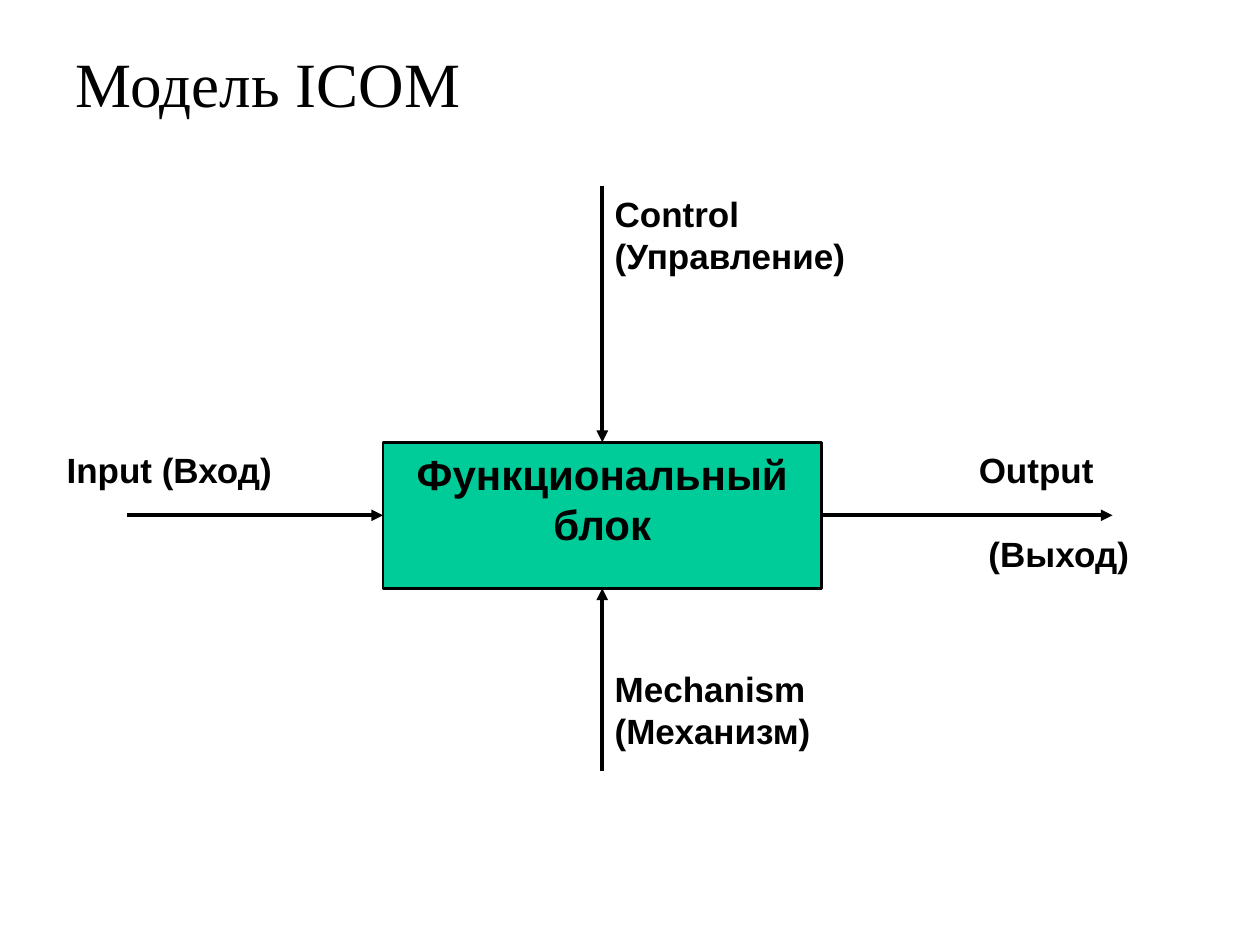
from lxml.etree import SubElement
from pptx import Presentation
from pptx.dml.color import RGBColor
from pptx.enum.shapes import MSO_CONNECTOR as Connector, MSO_SHAPE as Shape
from pptx.enum.text import MSO_ANCHOR as Anchor, PP_ALIGN as Align
from pptx.oxml.ns import qn
from pptx.util import Inches, Pt


def rgb(value):
    return RGBColor.from_string(value)


def write(tf, text, font="Arial", size=20, bold=True, align=Align.LEFT, gap=0):
    """Fill a text frame, one paragraph per line, with gap points between them."""
    tf.word_wrap = True
    tf.vertical_anchor = Anchor.TOP
    tf.margin_left = tf.margin_right = Inches(0.1)
    tf.margin_top = tf.margin_bottom = Inches(0.05)
    for i, line in enumerate(text.split("\n")):
        p = tf.add_paragraph() if i else tf.paragraphs[0]
        p.alignment = align
        if i:
            p.space_before = Pt(gap)
        r = p.add_run()
        r.text = line
        r.font.name = font
        r.font.size = Pt(size)
        r.font.bold = bold
        r.font.color.rgb = rgb(Diagram.INK)


class Diagram:
    INK = "000000"
    BLOCK = "00CC99"

    def __init__(self, slide):
        self.slide = slide

    def title(self, text, x, y, w, h):
        sp = self.slide.shapes.title
        sp.left, sp.top, sp.width, sp.height = map(Inches, (x, y, w, h))
        write(sp.text_frame, text, font="Times New Roman", size=36, bold=False)

    def block(self, text, x, y, w, h):
        sp = self.slide.shapes.add_shape(Shape.RECTANGLE, *map(Inches, (x, y, w, h)))
        sp.shadow.inherit = False
        sp.fill.solid()
        sp.fill.fore_color.rgb = rgb(self.BLOCK)
        sp.line.color.rgb = rgb(self.INK)
        sp.line.width = Pt(1.5)
        write(sp.text_frame, text, size=24, align=Align.CENTER)

    def arrow(self, x1, y1, x2, y2):
        cn = self.slide.shapes.add_connector(
            Connector.STRAIGHT, *map(Inches, (x1, y1, x2, y2)))
        cn.line.color.rgb = rgb(self.INK)
        cn.line.width = Pt(2.25)
        SubElement(cn.line._get_or_add_ln(), qn("a:tailEnd"), type="triangle")
        SubElement(cn._element.spPr, qn("a:effectLst"))

    def label(self, text, x, y, w, h, gap=0):
        sp = self.slide.shapes.add_textbox(*map(Inches, (x, y, w, h)))
        write(sp.text_frame, text, gap=gap)


def main():
    prs = Presentation()
    prs.slide_width, prs.slide_height = Inches(10), Inches(7.5)
    d = Diagram(prs.slides.add_slide(prs.slide_layouts[5]))
    d.title("Модель ICOM", 0.5, 0.3, 9, 1.24)

    left, top, width, height = 3.04, 3.51, 3.48, 1.16
    right, bottom = left + width, top + height
    mid_x, mid_y = left + width / 2, top + height / 2
    start_y, end_y = 1.48, 6.12

    d.block("Функциональный блок", left, top, width, height)
    d.arrow(1.01, mid_y, left, mid_y)
    d.arrow(mid_x, start_y, mid_x, top)
    d.arrow(right, mid_y, 8.83, mid_y)
    d.arrow(mid_x, end_y, mid_x, bottom)

    d.label("Input (Вход)", 0.43, top, 2.02, height)
    d.label("Control (Управление)", mid_x, start_y, 2.9, height)
    d.label("Mechanism (Механизм)", mid_x, 5.25, 2.6, height)
    d.label("Output\n (Выход)", 7.67, top, 1.74, height, gap=24)

    prs.save("out.pptx")


if __name__ == "__main__":
    main()
